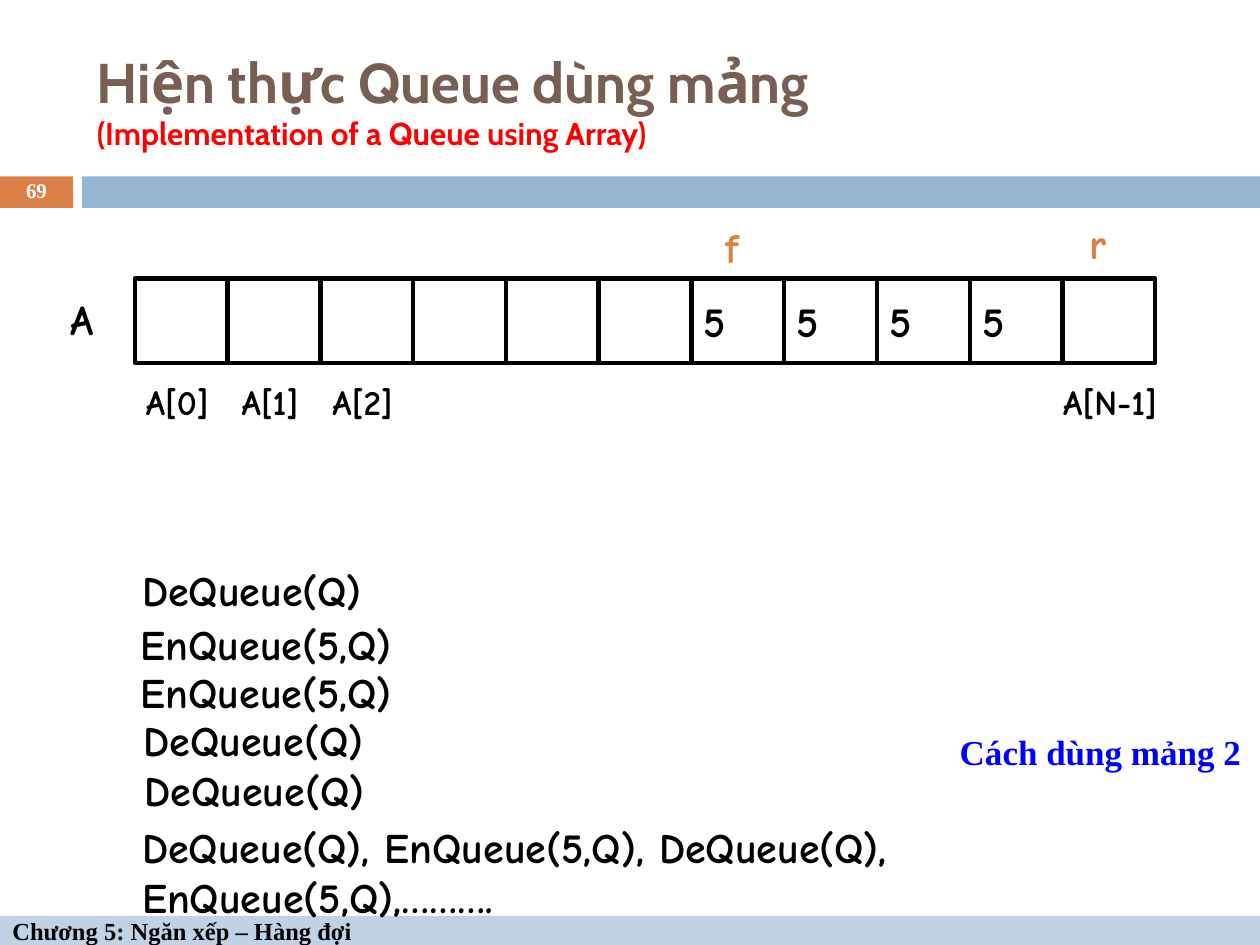
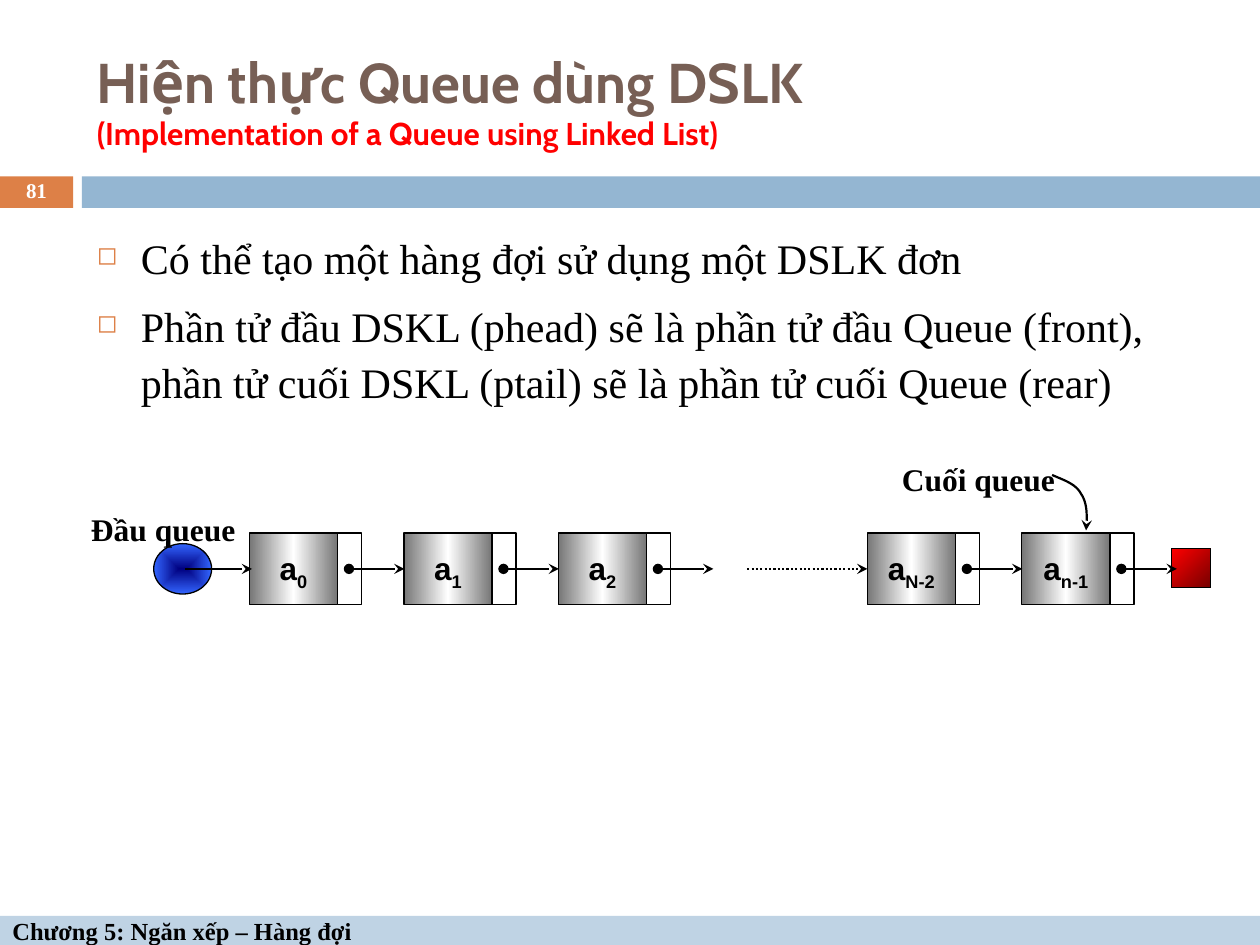
import dataclasses

import lxml.etree
import pptx
import pptx.dml.color
import pptx.enum.dml
import pptx.enum.shapes
import pptx.enum.text
import pptx.util
from pptx.oxml.ns import qn
from pptx.util import Inches

SHAPE = pptx.enum.shapes.MSO_SHAPE
ALIGN = pptx.enum.text.PP_ALIGN
ANCHOR = pptx.enum.text.MSO_ANCHOR


@dataclasses.dataclass(frozen=True)
class Theme:
    title: str = "775F55"
    subtitle: str = "FF0000"
    accent: str = "DD8047"
    band: str = "94B6D2"
    footer: str = "BFD3E4"
    note: str = "0000FF"
    black: str = "000000"
    white: str = "FFFFFF"
    metal: tuple = ((0, "767676"), (50, "FFFFFF"), (100, "767676"))
    head: tuple = ((0, "000080"), (100, "3366FF"))
    end: tuple = ((0, "FF0000"), (100, "760000"))
    title_font: str = "Cabin"
    body_font: str = "Times New Roman"
    hand_font: str = "Comic Neue"
    node_font: str = "Arial"
    title_size: int = 32
    body_size: int = 24
    label_size: int = 20
    small_size: int = 18
    footer_size: int = 14
    number_size: int = 12
    cell_line: float = 2.5
    node_line: float = 0.75
    arrow_line: float = 1.25


T = Theme()


def rgb(value):
    return pptx.dml.color.RGBColor.from_string(value)


def style_run(r, size, font, color=T.black, bold=True):
    r.font.size = pptx.util.Pt(size)
    r.font.name = font
    r.font.bold = bold
    r.font.color.rgb = rgb(color)


def write(sp, text, size, font, color=T.black, bold=True, align=ALIGN.LEFT,
          anchor=ANCHOR.MIDDLE, before=0, insets=(0.1, 0.05, 0.1, 0.05)):
    tf = sp.text_frame
    tf.word_wrap = True
    tf.vertical_anchor = anchor
    tf.margin_left, tf.margin_top, tf.margin_right, tf.margin_bottom = map(Inches, insets)
    tf.text = text
    for p in tf.paragraphs:
        p.alignment = align
        p.space_before = pptx.util.Pt(before)
        for r in p.runs:
            style_run(r, size, font, color, bold)
    return tf


def add_text(slide, box, text, size, font, **options):
    sp = slide.shapes.add_textbox(*map(Inches, box))
    return write(sp, text, size, font, **options)


def add_box(slide, box, fill=None, line=None, kind=SHAPE.RECTANGLE):
    sp = slide.shapes.add_shape(kind, *map(Inches, box))
    sp.shadow.inherit = False
    if fill:
        sp.fill.solid()
        sp.fill.fore_color.rgb = rgb(fill)
    else:
        sp.fill.background()
    if line:
        sp.line.color.rgb = rgb(T.black)
        sp.line.width = pptx.util.Pt(line)
    else:
        sp.line.fill.background()
    return sp


def fill_gradient(sp, stops, angle=None):
    sp.fill.gradient()
    grad = sp._element.spPr.find(qn("a:gradFill"))
    grad.clear()
    gs_list = lxml.etree.SubElement(grad, qn("a:gsLst"))
    for position, color in stops:
        gs = lxml.etree.SubElement(gs_list, qn("a:gs"), pos=str(position * 1000))
        lxml.etree.SubElement(gs, qn("a:srgbClr"), val=color)
    if angle is None:
        centre = lxml.etree.SubElement(grad, qn("a:path"), path="rect")
        lxml.etree.SubElement(centre, qn("a:fillToRect"), dict.fromkeys("ltrb", "50000"))
    else:
        lxml.etree.SubElement(grad, qn("a:lin"), ang=str(angle * 60000), scaled="0")


def style_arrow(sp, head=None):
    sp.line.color.rgb = rgb(T.black)
    sp.line.width = pptx.util.Pt(T.arrow_line)
    ln = sp.line._get_or_add_ln()
    if head:
        lxml.etree.SubElement(ln, qn("a:headEnd"), type=head)
    lxml.etree.SubElement(ln, qn("a:tailEnd"), type="stealth")


def add_arrow(slide, x1, x2, y, head=None, dotted=False):
    cxn = slide.shapes.add_connector(pptx.enum.shapes.MSO_CONNECTOR.STRAIGHT,
                                     *map(Inches, (x1, y, x2, y)))
    if dotted:
        cxn.line.dash_style = pptx.enum.dml.MSO_LINE.ROUND_DOT
    style_arrow(cxn, head)
    lxml.etree.SubElement(cxn._element.spPr, qn("a:effectLst"))


def add_curve(slide, start, *segments):
    points = [start]
    for a, b, end in segments:
        origin = points[-1]
        for step in range(1, 13):
            t = step / 12
            weights = ((1 - t) ** 3, 3 * t * (1 - t) ** 2, 3 * t * t * (1 - t), t ** 3)
            points.append(tuple(sum(w * q[axis] for w, q in zip(weights, (origin, a, b, end)))
                                for axis in (0, 1)))
    first, *rest = [(Inches(x), Inches(y)) for x, y in points]
    builder = slide.shapes.build_freeform(*first)
    builder.add_line_segments(rest, close=False)
    sp = builder.convert_to_shape()
    sp.shadow.inherit = False
    sp.fill.background()
    style_arrow(sp)


def add_frame(prs, title, subtitle, number):
    slide = prs.slides.add_slide(prs.slide_layouts[6])
    add_box(slide, (0, 1.4, 0.58, 0.25), T.accent)
    add_box(slide, (0.65, 1.4, 9.35, 0.25), T.band)
    footer = add_box(slide, (0, 7.27, 10, 0.23), T.footer)
    write(footer, "Chương 5: Ngăn xếp – Hàng đợi", T.footer_size, T.body_font)
    tf = add_text(slide, (0.67, 0.25, 8.92, 1.08), f"{title}\v{subtitle}",
                  T.title_size, T.title_font, color=T.title)
    style_run(tf.paragraphs[0].runs[1], T.small_size, T.title_font, T.subtitle)
    tf = add_text(slide, (0, 1.39, 0.58, 0.27), number, T.number_size, T.body_font,
                  color=T.white, align=ALIGN.CENTER)
    tf.paragraphs[0].line_spacing = 0.8
    return slide


def add_hand(slide, box, text, size=T.body_size, color=T.black):
    tf = add_text(slide, box, text, size, T.hand_font, color=color,
                  anchor=ANCHOR.TOP, before=size * 0.625)
    tf.auto_size = pptx.enum.text.MSO_AUTO_SIZE.SHAPE_TO_FIT_TEXT


def add_array(slide, box, values):
    x, y, w, h = box
    pitch = w / len(values)
    for i, value in enumerate(values):
        sp = add_box(slide, (x + i * pitch, y, pitch, h), line=T.cell_line)
        if value:
            write(sp, value, T.body_size, T.hand_font)
    add_hand(slide, (x - 0.61, y + 0.07, 0.76, 0.5), "A")
    for dx, width, text in ((-0.01, 1.03, "A[0]"), (0.75, 0.93, "A[1]"),
                            (1.47, 0.88, "A[2]"), (7.27, 1.54, "A[N-1]")):
        add_hand(slide, (x + dx, y + 0.76, width, 0.44), text, T.label_size)
    for dx, dy, text in ((4.59, 0.5, "f"), (7.48, 0.53, "r")):
        add_hand(slide, (x + dx, y - dy, 0.72, 0.5), text, color=T.accent)


def add_commands(slide, box):
    x, y, w, h = box
    enqueue, dequeue = "EnQueue(5,Q)", "DeQueue(Q)"
    for dx, dy, text in ((0.01, 0, dequeue), (0, 0.43, enqueue), (0, 0.81, enqueue),
                         (0.02, 1.19, dequeue), (0.03, 1.59, dequeue)):
        add_hand(slide, (x + dx, y + dy, 3.24, 0.5), text)
    add_hand(slide, (x + 0.01, y + h - 0.9, w, 0.9),
             f"{dequeue}, {enqueue}, {dequeue}, {enqueue},……….")


def add_bullets(slide, box, lines):
    tf = add_text(slide, box, "\n".join(lines), T.body_size, T.body_font,
                  bold=False, anchor=ANCHOR.TOP, before=7)
    for p in tf.paragraphs:
        p.line_spacing = pptx.util.Pt(32)
        pPr = p._p.get_or_add_pPr()
        pPr.set("marL", str(Inches(0.35)))
        pPr.set("indent", str(-Inches(0.35)))
        color = lxml.etree.SubElement(pPr, qn("a:buClr"))
        lxml.etree.SubElement(color, qn("a:srgbClr"), val=T.accent)
        lxml.etree.SubElement(pPr, qn("a:buSzPct"), val="60000")
        lxml.etree.SubElement(pPr, qn("a:buChar"), char="◻")


def add_node(slide, box, index):
    x, y, w, h = box
    add_box(slide, (x + w, y, 0.19, h), T.white, T.node_line)
    sp = add_box(slide, box, T.white, T.node_line)
    fill_gradient(sp, T.metal, 0)
    tf = write(sp, "a", T.small_size, T.node_font, align=ALIGN.CENTER,
               insets=(0, 0.03, 0, 0))
    r = tf.paragraphs[0].add_run()
    r.text = index
    style_run(r, T.small_size, T.node_font)
    r.font._element.set("baseline", "-25000")


def add_linked_list(slide, box):
    x, y, w, h = box
    middle = y + h / 2
    pitch = 1.226
    first = x + 0.76
    head = add_box(slide, (x, middle - 0.2, 0.46, 0.4), T.white, T.node_line, SHAPE.OVAL)
    fill_gradient(head, T.head)
    end = add_box(slide, (x + w - 0.31, middle - 0.16, 0.31, 0.31), T.white, T.node_line)
    fill_gradient(end, T.end, 45)
    nodes = {0: "0", 1: "1", 2: "2", 4: "N-2", 5: "n-1"}
    for slot, index in nodes.items():
        add_node(slide, (first + slot * pitch, y, 0.7, h), index)
    for slot in nodes:
        start = first + slot * pitch + 0.79
        add_arrow(slide, start, start + 0.44, middle, head="oval")
    add_arrow(slide, x + 0.25, first + 0.02, middle)
    add_arrow(slide, x + 4.71, first + 4 * pitch, middle, dotted=True)
    for dx, dy, text in ((-0.55, 0.25, "Đầu queue"), (5.92, 0.65, "Cuối queue")):
        add_text(slide, (x + dx, y - dy, 1.25, 0.44), text, T.small_size, T.body_font,
                 align=ALIGN.CENTER, insets=(0, 0, 0, 0))
    cx, cy = x + 7.13, y - 0.46
    add_curve(slide, (cx, cy),
              ((cx + 0.09, cy + 0.04), (cx + 0.19, cy + 0.07), (cx + 0.23, cy + 0.15)),
              ((cx + 0.28, cy + 0.22), (cx + 0.28, cy + 0.33), (cx + 0.27, cy + 0.44)))


def array_slide(prs):
    slide = add_frame(prs, "Hiện thực Queue dùng mảng",
                      "(Implementation of a Queue using Array)", "69")
    add_array(slide, (1.07, 2.21, 8.1, 0.67), [""] * 6 + ["5"] * 4 + [""])
    add_commands(slide, (1.02, 4.43, 8.85, 2.94))
    add_text(slide, (7.42, 5.75, 2.53, 0.44), "Cách dùng mảng 2", T.label_size,
             T.body_font, color=T.note, align=ALIGN.RIGHT, anchor=ANCHOR.TOP)


def list_slide(prs):
    slide = add_frame(prs, "Hiện thực Queue dùng DSLK",
                      "(Implementation of a Queue using Linked List)", "81")
    add_bullets(slide, (0.67, 1.75, 8.92, 4.92), (
        "Có thể tạo một hàng đợi sử dụng một DSLK đơn",
        "Phần tử đầu DSKL (phead) sẽ là phần tử đầu Queue (front), "
        "phần tử cuối DSKL (ptail) sẽ là phần tử cuối Queue (rear)"))
    add_linked_list(slide, (1.22, 4.23, 8.39, 0.57))


prs = pptx.Presentation()
prs.slide_width, prs.slide_height = Inches(10), Inches(7.5)
array_slide(prs)
list_slide(prs)
prs.save("out.pptx")
